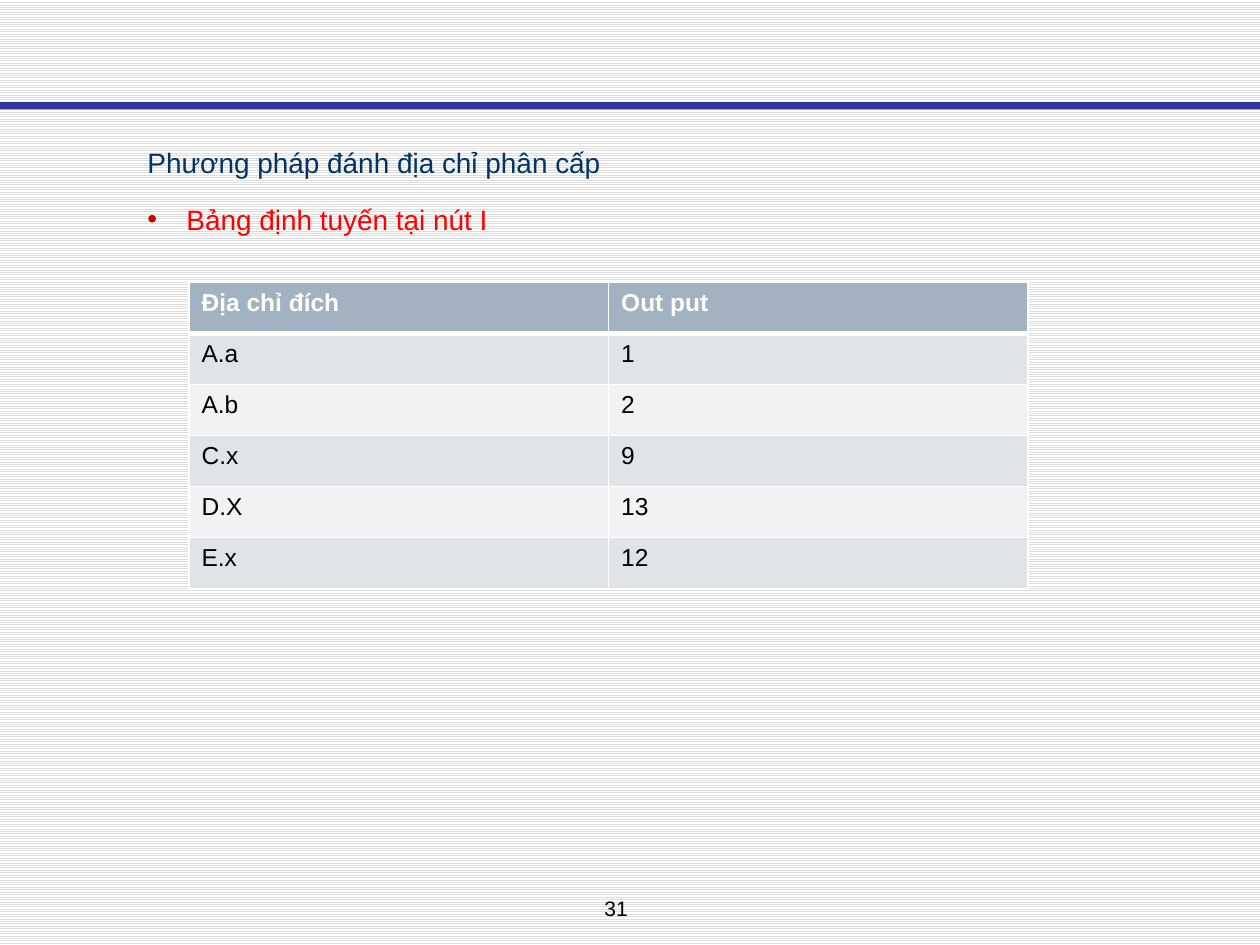
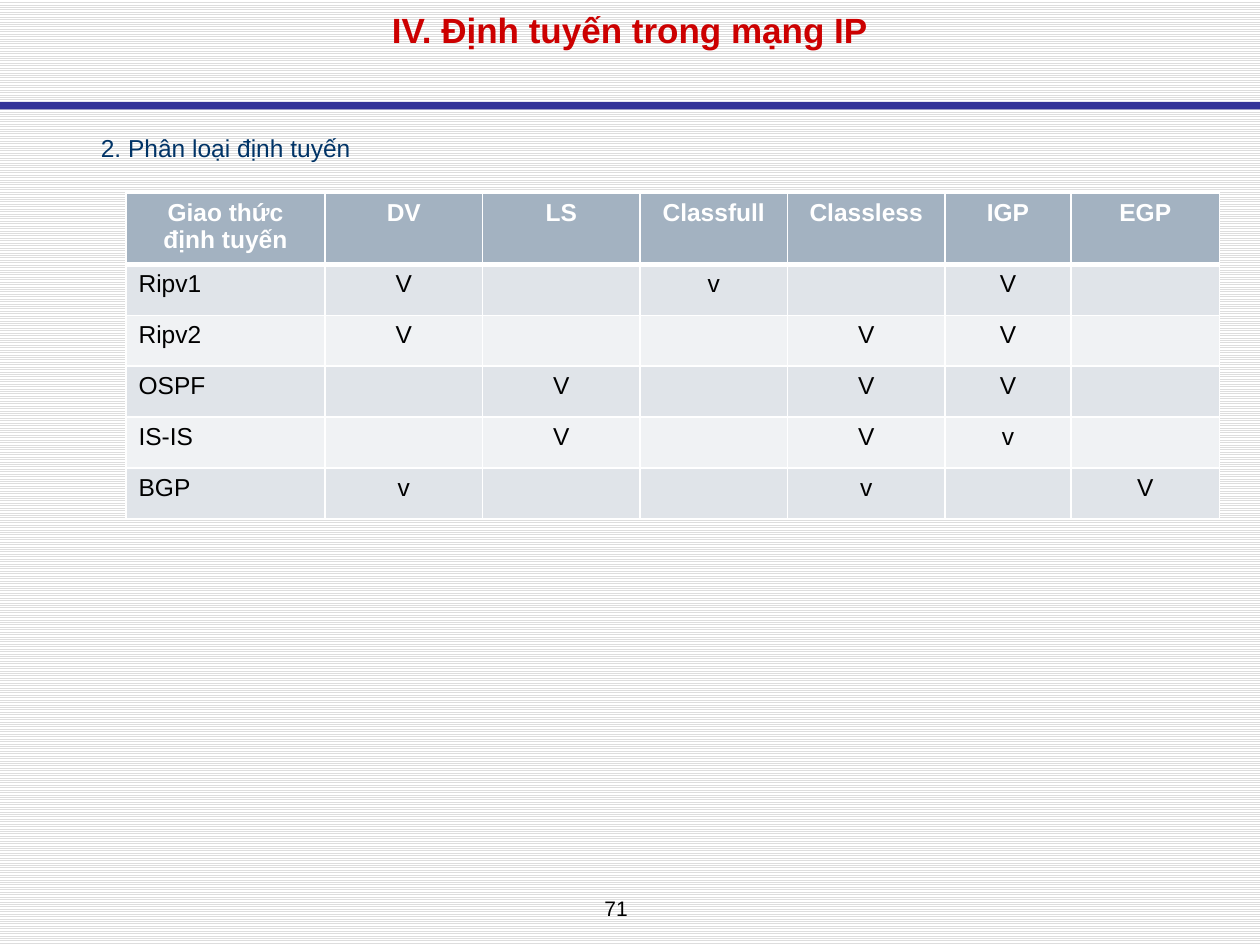
from dataclasses import dataclass
from lxml import etree
from pptx import Presentation
from pptx.dml.color import RGBColor as RGB
from pptx.enum.dml import MSO_PATTERN as Pattern
from pptx.enum.shapes import MSO_SHAPE as Shape
from pptx.enum.text import MSO_ANCHOR as Anchor, MSO_AUTO_SIZE as Fit, PP_ALIGN as Align
from pptx.oxml import parse_xml
from pptx.oxml.ns import nsdecls, qn
from pptx.util import Inches, Pt


@dataclass(frozen=True)
class Theme:
    font: str = "Arial"
    white: str = "FFFFFF"
    black: str = "000000"
    lines: str = "DDDDDD"
    band: str = "333399"
    title: str = "CC0000"
    body: str = "003366"
    red: str = "FF0000"
    head: str = "A3B2C1"
    odd: str = "E0E4E9"
    even: str = "F0F2F4"
    big: int = 20
    mid: int = 16
    small: int = 14
    foot: int = 12


theme = Theme()
deck = Presentation()
deck.slide_width, deck.slide_height = Inches(10), Inches(7.5)
col, row = deck.slide_width // 10, deck.slide_height // 10


def box(x, y, w, h):
    return int(x * col), int(y * row), int(w * col), int(h * row)


def write(para, text, size=theme.small, color=theme.black, bold=False,
          align=Align.LEFT, lead=None, before=0, dot=None):
    para.alignment = align
    para.space_before = Pt(before)
    if lead:
        para.line_spacing = lead
        props = para._p.get_or_add_pPr()
        hang = Inches(0.31) if dot else 0
        props.set("marL", str(hang))
        props.set("indent", str(-hang))
        if dot:
            tint = etree.SubElement(props, qn("a:buClr"))
            etree.SubElement(tint, qn("a:srgbClr"), val=dot)
            etree.SubElement(props, qn("a:buChar"), char="•")
        else:
            etree.SubElement(props, qn("a:buNone"))
    if text:
        run = para.add_run()
        run.text = text
        run.font.name = theme.font
        run.font.size = Pt(size)
        run.font.bold = bold
        run.font.color.rgb = RGB.from_string(color)


fill = deck.slide_master.background.fill
fill.patterned()
fill.pattern = Pattern.LIGHT_HORIZONTAL
fill.fore_color.rgb = RGB.from_string(theme.lines)
fill.back_color.rgb = RGB.from_string(theme.white)

pages = [
    dict(
        num="31", title=None, area=(1.07, 1.35, 8.51, 1.65), size=theme.mid,
        items=[("Phương pháp đánh địa chỉ phân cấp", theme.body, None),
               ("Bảng định tuyến tại nút I", theme.red, theme.title)],
        spot=(1.5, 2.99), cols=[3.33, 3.33], top=0.54, mid=False,
        cells=[["Địa chỉ đích", "Out put"], ["A.a", "1"], ["A.b", "2"],
               ["C.x", "9"], ["D.X", "13"], ["E.x", "12"]]),
    dict(
        num="71", title="IV. Định tuyến trong mạng IP",
        area=(0.7, 1.23, 8.85, 3.77), size=theme.small,
        items=[("2. Phân loại định tuyến", theme.body, None)],
        spot=(1, 2.04), cols=[1.58, 1.25, 1.25, 1.17, 1.25, 1, 1.18],
        top=0.75, mid=True,
        cells=[["Giao thức định tuyến", "DV", "LS", "Classfull", "Classless", "IGP", "EGP"],
               ["Ripv1", "V", "", "v", "", "V", ""],
               ["Ripv2", "V", "", "", "V", "V", ""],
               ["OSPF", "", "V", "", "V", "V", ""],
               ["IS-IS", "", "V", "", "V", "v", ""],
               ["BGP", "v", "", "", "v", "", "V"]]),
]

for page in pages:
    slide = deck.slides.add_slide(deck.slide_layouts[1])
    shapes = slide.shapes
    title, body = shapes.title, slide.placeholders[1]

    band = shapes.add_shape(Shape.RECTANGLE, *box(0, 1.08, 10, 0.08))
    band.shadow.inherit = False
    band.fill.solid()
    band.fill.fore_color.rgb = RGB.from_string(theme.band)
    band.line.fill.background()

    foot = shapes.add_textbox(*box(4.08, 9.41, 1.62, 0.4)).text_frame
    foot.word_wrap = True
    write(foot.paragraphs[0], page["num"], size=theme.foot, align=Align.CENTER)

    if page["title"]:
        title.left, title.top, title.width, title.height = box(0.5, 0, 9, 1.23)
        frame = title.text_frame
        frame.auto_size = Fit.NONE
        frame.vertical_anchor = Anchor.TOP
        frame.margin_top = Inches(0.07)
        write(frame.paragraphs[0], page["title"], size=theme.big,
              color=theme.title, bold=True, align=Align.CENTER)
    else:
        title.element.getparent().remove(title.element)

    body.left, body.top, body.width, body.height = box(*page["area"])
    frame = body.text_frame
    frame.auto_size = Fit.NONE
    for i, (text, color, dot) in enumerate(page["items"]):
        para = frame.add_paragraph() if i else frame.paragraphs[0]
        write(para, text, size=page["size"], color=color, lead=1.35,
              before=6.5 if i else 0, dot=dot)

    cells, cols = page["cells"], page["cols"]
    rows = [page["top"]] + [0.54] * (len(cells) - 1)
    grid = shapes.add_table(len(rows), len(cols),
                            *box(*page["spot"], sum(cols), sum(rows))).table
    grid.horz_banding = False
    for c, wide in enumerate(cols):
        grid.columns[c].width = int(wide * col)
    for r, high in enumerate(rows):
        grid.rows[r].height = int(high * row)
        head = r == 0
        shade = theme.head if head else theme.odd if r % 2 else theme.even
        for c, text in enumerate(cells[r]):
            cell = grid.cell(r, c)
            cell.fill.solid()
            cell.fill.fore_color.rgb = RGB.from_string(shade)
            center = page["mid"] and (head or c > 0)
            write(cell.text_frame.paragraphs[0], text, bold=head,
                  color=theme.white if head else theme.black,
                  align=Align.CENTER if center else Align.LEFT)
            props = cell._tc.get_or_add_tcPr()
            for i, side in enumerate("LRTB"):
                thick = (r, side) in [(0, "B"), (1, "T")]
                props.insert(i, parse_xml(
                    f'<a:ln{side} {nsdecls("a")} w="{Pt(3 if thick else 1)}"><a:solidFill>'
                    f'<a:srgbClr val="{theme.white}"/></a:solidFill></a:ln{side}>'))

deck.save("out.pptx")
